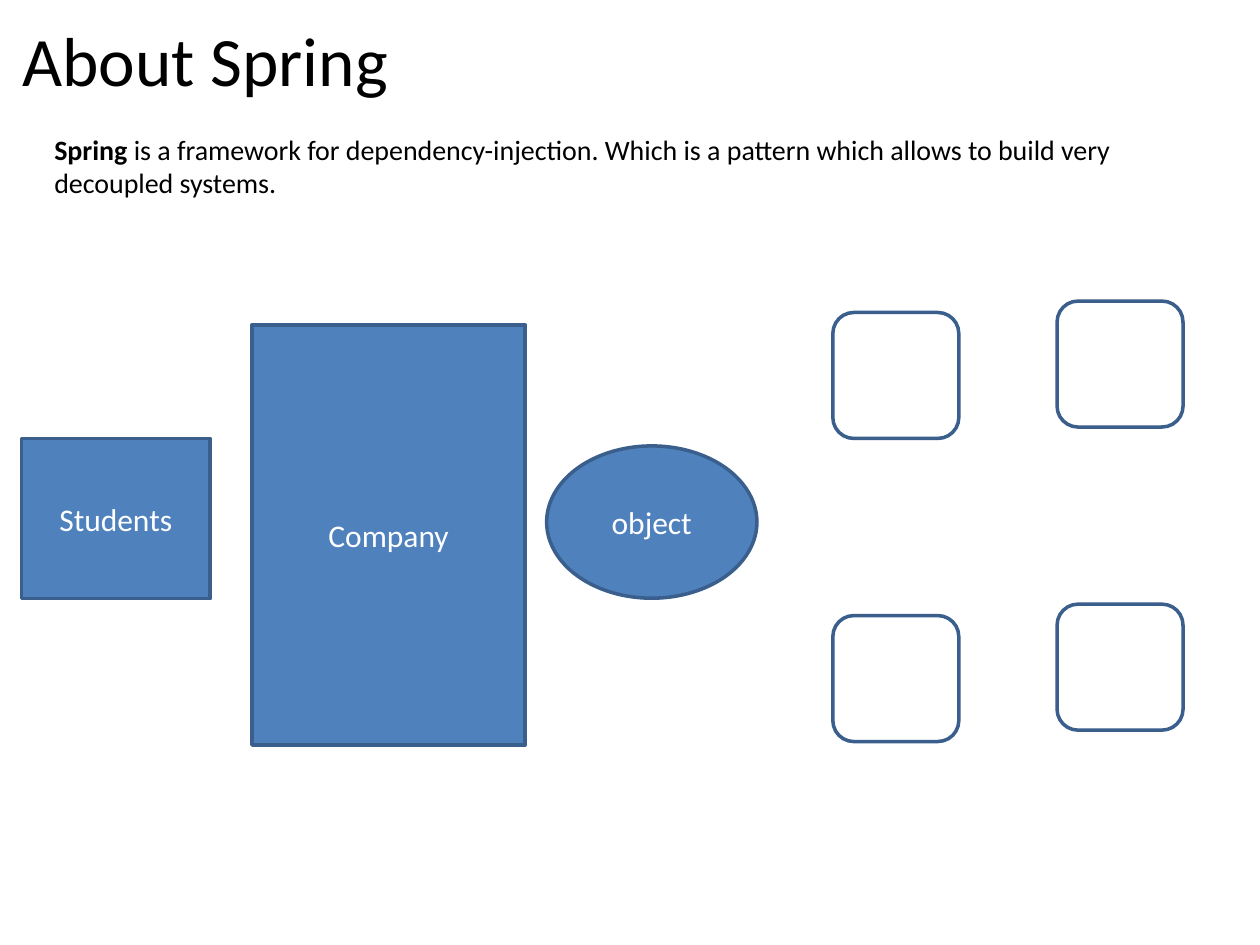
import pptx
import pptx.util
import pptx.dml.color
import pptx.enum.shapes
import pptx.enum.text
import lxml.etree

Cm, Pt = pptx.util.Cm, pptx.util.Pt
SHAPES = pptx.enum.shapes.MSO_SHAPE
ALIGN = pptx.enum.text.PP_ALIGN
ANCHOR = pptx.enum.text.MSO_ANCHOR

HEADING = [("About Spring", False)]
DEFINITION = [
    ("Spring", True),
    (" is a framework for dependency-injection. Which is a pattern "
     "which allows to build very decoupled systems.", False),
]
ACTORS = [
    ("object", SHAPES.OVAL, (11.02, 8.99, 4.24, 3.07)),
    ("Students", SHAPES.RECTANGLE, (0.43, 8.84, 3.81, 3.23)),
    ("Company", SHAPES.RECTANGLE, (5.08, 6.55, 5.51, 8.47)),
]
COMPONENT_COLUMNS = [(16.79, 6.3), (21.31, 6.07)]
COMPONENT_ROWS = 2
COMPONENT_PITCH = 6.11
COMPONENT_SIZE = 2.54
BLUE, NAVY, BLACK, WHITE = "4F81BD", "3A5F8C", "000000", "FFFFFF"


def paint(color_format, value):
    color_format.rgb = pptx.dml.color.RGBColor.from_string(value)


def apply(target, formats):
    for attribute, value in formats.items():
        setattr(target, attribute, value)


def write(frame, runs, size, color, align, anchor):
    apply(frame, {
        "word_wrap": True,
        "auto_size": pptx.enum.text.MSO_AUTO_SIZE.NONE,
        "vertical_anchor": anchor,
    })
    paragraph = frame.paragraphs[0]
    paragraph.alignment = align
    for wording, bold in runs:
        run = paragraph.add_run()
        run.text = wording
        apply(run.font, {"name": "Calibri", "size": Pt(size), "bold": bold})
        paint(run.font.color, color)
    return paragraph


def place(placeholder, box):
    apply(placeholder, dict(zip(("left", "top", "width", "height"), map(Cm, box))))


def add_outlined(slide, kind, box, fill=None):
    shape = slide.shapes.add_shape(kind, *map(Cm, box))
    shape.shadow.inherit = False
    if fill:
        shape.fill.solid()
        paint(shape.fill.fore_color, fill)
    else:
        shape.fill.background()
    paint(shape.line.color, NAVY)
    shape.line.width = Pt(2)
    return shape


def remove_bullet(paragraph):
    properties = paragraph._p.get_or_add_pPr()
    properties.set("marL", "0")
    properties.set("indent", "0")
    lxml.etree.SubElement(properties, pptx.oxml.ns.qn("a:buNone"))


def main():
    deck = pptx.Presentation()
    apply(deck, {"slide_width": Cm(25.4), "slide_height": Cm(19.05)})
    slide = deck.slides.add_slide(deck.slide_layouts[1])

    heading, definition = slide.placeholders
    place(heading, (0.2, 0.2, 22.86, 1.98))
    write(heading.text_frame, HEADING, 39.6, BLACK, ALIGN.LEFT, ANCHOR.MIDDLE)
    place(definition, (0.84, 2.54, 22.86, 2.11))
    remove_bullet(write(definition.text_frame, DEFINITION, 16, BLACK,
                        ALIGN.LEFT, ANCHOR.TOP))

    for label, kind, box in ACTORS:
        actor = add_outlined(slide, kind, box, BLUE)
        write(actor.text_frame, [(label, False)], 18, WHITE,
              ALIGN.CENTER, ANCHOR.MIDDLE)

    for row in range(COMPONENT_ROWS):
        for left, top in COMPONENT_COLUMNS:
            box = (left, top + row * COMPONENT_PITCH, COMPONENT_SIZE, COMPONENT_SIZE)
            add_outlined(slide, SHAPES.ROUNDED_RECTANGLE, box)

    deck.save("out.pptx")


if __name__ == "__main__":
    main()
